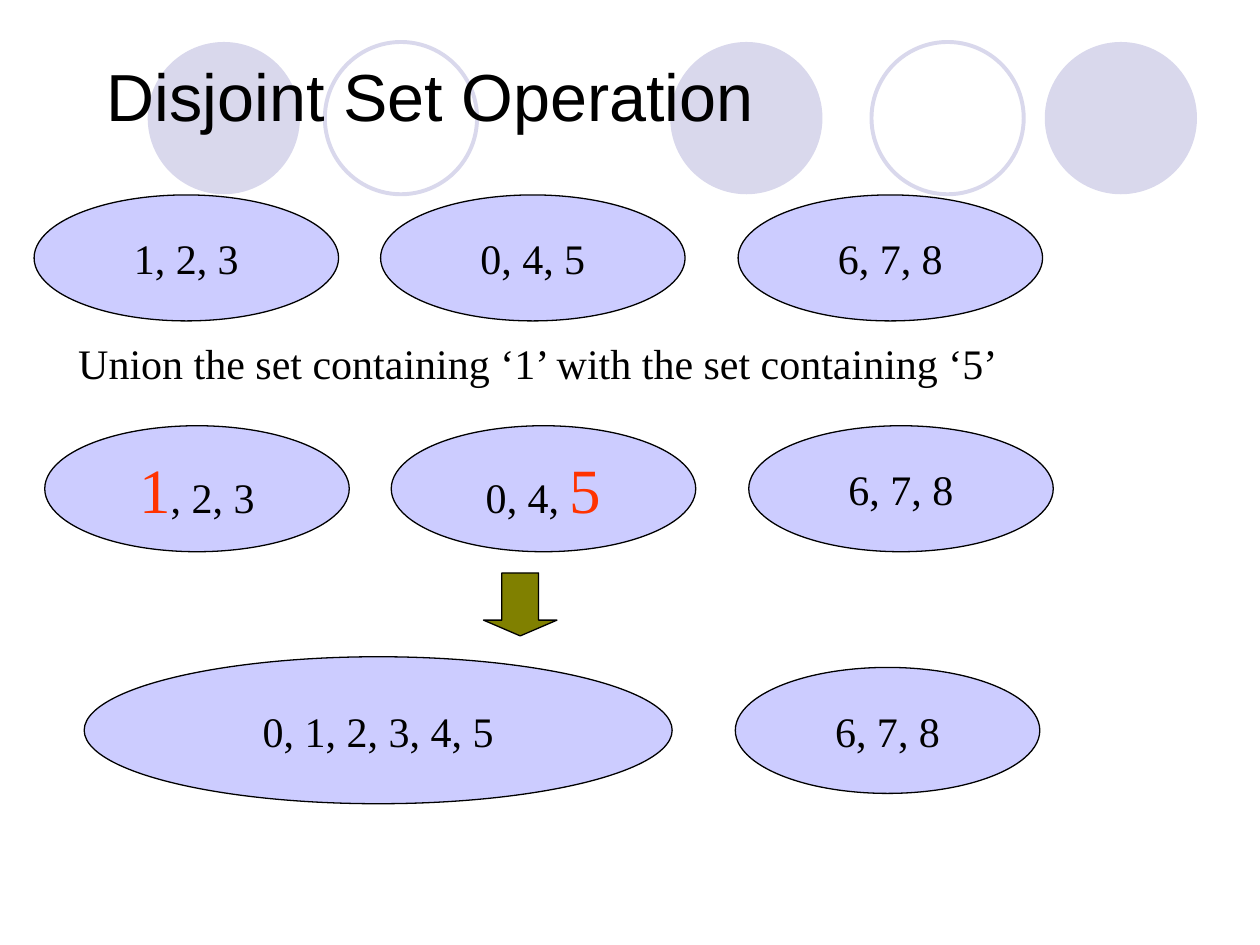
import pptx
import pptx.dml.color
import pptx.enum.shapes
import pptx.enum.text
import pptx.util

Pt = pptx.util.Pt
SHAPES = pptx.enum.shapes.MSO_SHAPE
ANCHOR = pptx.enum.text.MSO_ANCHOR
ALIGN = pptx.enum.text.PP_ALIGN

COLORS = {
    "decoration": "D9D8EC",
    "set": "CCCCFF",
    "arrow": "808000",
    "text": "000000",
    "highlight": "FF3300",
}
FORMATS = {
    "title": {"name": "Arial", "size": Pt(38)},
    "body": {"name": "Times New Roman", "size": Pt(24)},
    "highlight": {"name": "Times New Roman", "size": Pt(36)},
}
SET_WIDTH, SET_HEIGHT = 174, 72
SET_OFFSETS = (0, 198, 402.3)


def rgb(name):
    return pptx.dml.color.RGBColor.from_string(COLORS[name])


class SlideBuilder:
    def __init__(self, slide):
        self.slide = slide

    def shape(self, kind, left, top, width, height, fill=None, line=None, line_width=0.75):
        shape = self.slide.shapes.add_shape(
            kind, Pt(left), Pt(top), Pt(width), Pt(height))
        shape.shadow.inherit = False
        if fill:
            shape.fill.solid()
            shape.fill.fore_color.rgb = rgb(fill)
        else:
            shape.fill.background()
        if line:
            shape.line.color.rgb = rgb(line)
            shape.line.width = Pt(line_width)
        else:
            shape.line.fill.background()
        return shape

    def add_runs(self, shape, runs, alignment, anchor, wrap):
        """Fill a shape with one paragraph of (text, format name) runs."""
        frame = shape.text_frame
        settings = {
            "word_wrap": wrap, "vertical_anchor": anchor,
            "margin_left": Pt(7.2), "margin_right": Pt(7.2),
            "margin_top": Pt(3.6), "margin_bottom": Pt(3.6),
        }
        for attribute, value in settings.items():
            setattr(frame, attribute, value)
        paragraph = frame.paragraphs[0]
        paragraph.alignment = alignment
        for text, style in runs:
            run = paragraph.add_run()
            run.text = text
            for attribute, value in FORMATS[style].items():
                setattr(run.font, attribute, value)
            run.font.color.rgb = rgb("highlight" if style == "highlight" else "text")

    def text(self, text, style, left, top, width, height, anchor):
        box = self.slide.shapes.add_textbox(Pt(left), Pt(top), Pt(width), Pt(height))
        self.add_runs(box, [(text, style)], ALIGN.LEFT, anchor, True)

    def set_ellipse(self, runs, left, top, width=SET_WIDTH, height=SET_HEIGHT):
        ellipse = self.shape(SHAPES.OVAL, left, top, width, height, "set", "text")
        self.add_runs(ellipse, runs, ALIGN.CENTER, ANCHOR.MIDDLE, False)

    def set_row(self, sets, left, top):
        for runs, offset in zip(sets, SET_OFFSETS):
            self.set_ellipse(runs, left + offset, top)


def main():
    presentation = pptx.Presentation()
    presentation.slide_width, presentation.slide_height = Pt(720), Pt(540)
    builder = SlideBuilder(presentation.slides.add_slide(presentation.slide_layouts[6]))

    for left in (383, 597, 84.4):
        builder.shape(SHAPES.OVAL, left, 24, 87, 87, fill="decoration")
    for left in (498, 185.6):
        builder.shape(SHAPES.OVAL, left, 24, 87, 87, line="decoration", line_width=2.25)

    builder.text("Disjoint Set Operation", "title", 54, 9.4, 612, 90, ANCHOR.MIDDLE)

    last_set = [("6, 7, 8", "body")]
    builder.set_row([[("1, 2, 3", "body")], [("0, 4, 5", "body")], last_set], 19.5, 111.4)
    builder.text("Union the set containing ‘1’ with the set containing ‘5’", "body",
                 37.6, 189.4, 552, 36, ANCHOR.TOP)
    builder.set_row([
        [("1", "highlight"), (", 2, 3", "body")],
        [("0, 4, ", "body"), ("5", "highlight")],
        last_set,
    ], 25.6, 243.3)

    arrow = builder.shape(SHAPES.DOWN_ARROW, 276.3, 327.4, 42, 36, "arrow", "text")
    arrow.adjustments[0], arrow.adjustments[1] = 0.5, 0.25
    builder.set_ellipse([("0, 1, 2, 3, 4, 5", "body")], 48.1, 375.3, 336, 84)
    builder.set_ellipse(last_set, 420.2, 381.4)

    presentation.save("out.pptx")


if __name__ == "__main__":
    main()
